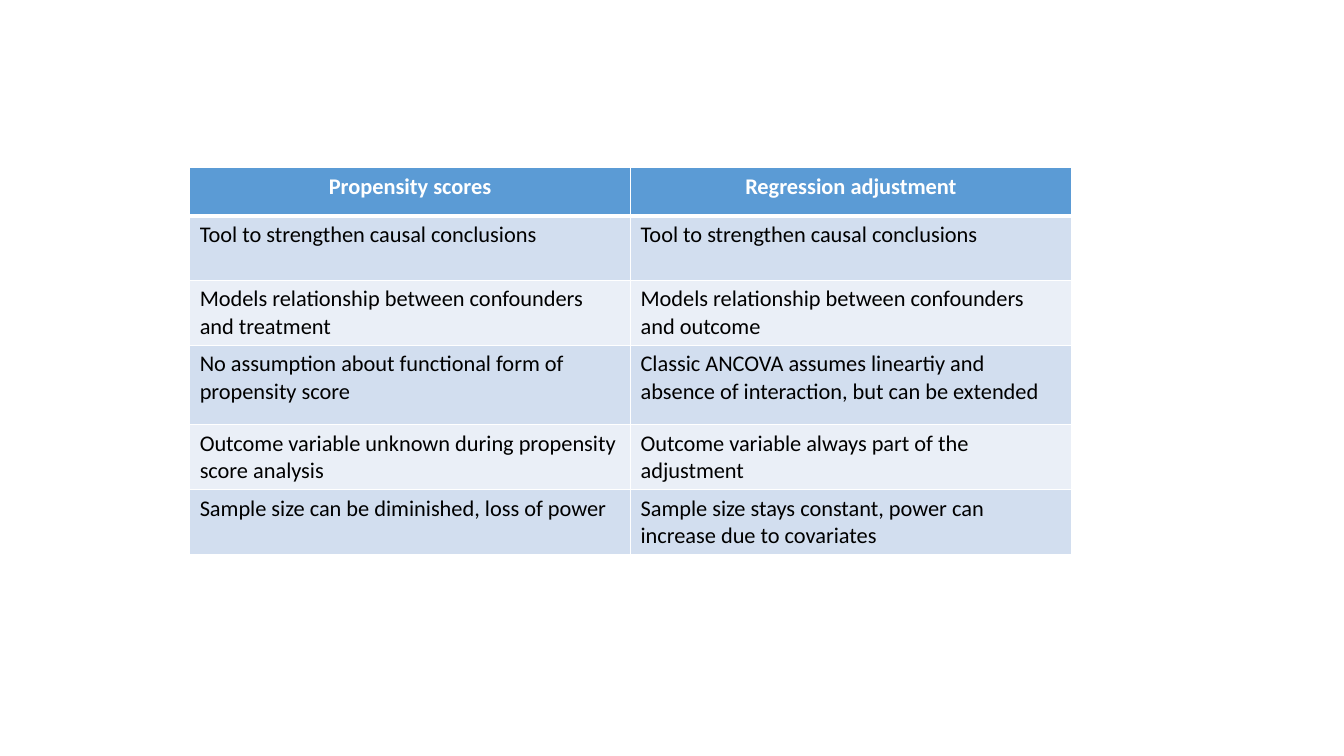
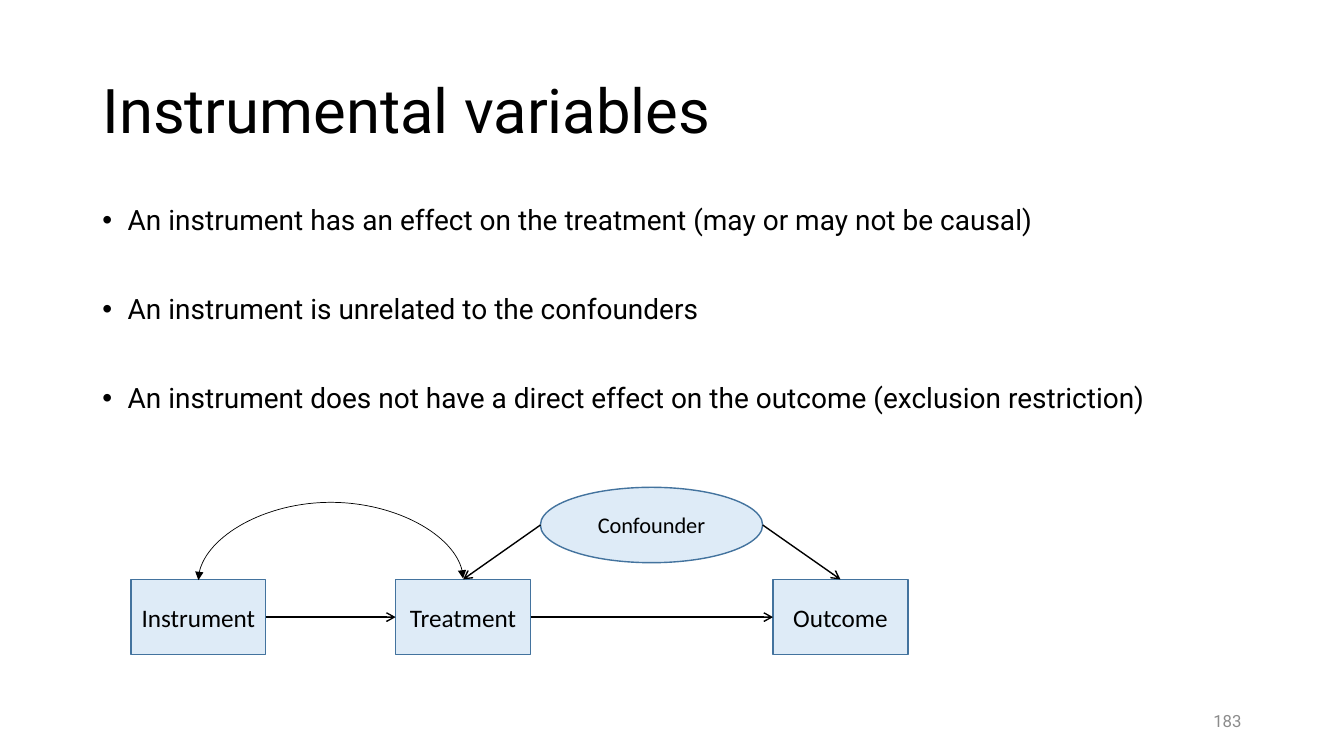
from dataclasses import dataclass

import pptx
import pptx.dml.color
import pptx.enum.shapes
import pptx.enum.text
import pptx.oxml
import pptx.oxml.ns
import pptx.util
from pptx.util import Cm

Align = pptx.enum.text.PP_ALIGN
Anchor = pptx.enum.text.MSO_ANCHOR
Preset = pptx.enum.shapes.MSO_SHAPE
Link = pptx.enum.shapes.MSO_CONNECTOR

BLACK, WHITE, GREY = "000000", "FFFFFF", "8C8C8C"
HEADER_BLUE, BANDS = "5B9BD5", ("D2DEEF", "EAEFF7")
NODE_FILL, NODE_LINE = "DEEBF7", "43739E"
HEADING_FONT, DIAGRAM_FONT = "Roboto", "Calibri"
MARGIN, CONTENT_WIDTH = 2.33, 29.21
NODE_HEIGHT, BOX_WIDTH, BOX_TOP = 1.9, 3.4, 14.6

COMPARISON = [
    ("Propensity scores", "Regression adjustment"),
    ("Tool to strengthen causal conclusions",
     "Tool to strengthen causal conclusions"),
    ("Models relationship between confounders and treatment",
     "Models relationship between confounders and outcome"),
    ("No assumption about functional form of propensity score",
     "Classic ANCOVA assumes lineartiy and absence of interaction, but can be extended"),
    ("Outcome variable unknown during propensity score analysis",
     "Outcome variable always part of the adjustment"),
    ("Sample size can be diminished, loss of power",
     "Sample size stays constant, power can increase due to covariates"),
]
ROW_HEIGHTS = (1.22, 1.62, 1.63, 2.0, 1.63, 1.63)
COLUMN_WIDTH = 11.11

CONDITIONS = [
    "An instrument has an effect on the treatment (may or may not be causal)",
    "An instrument is unrelated to the confounders",
    "An instrument does not have a direct effect on the outcome (exclusion restriction)",
]


@dataclass(frozen=True)
class TextStyle:
    font: str
    size: float
    color: str = BLACK
    bold: bool = False
    align: Align = Align.LEFT
    line_spacing: float = 1.0


@dataclass(frozen=True)
class Node:
    label: str
    left: float
    top: float = BOX_TOP
    width: float = BOX_WIDTH
    size: float = 18
    preset: Preset = Preset.RECTANGLE

    @property
    def center(self) -> float:
        return self.left + self.width / 2


@dataclass(frozen=True)
class Arrow:
    """A straight arrow between connection sites of two nodes."""
    source: Node
    source_site: int
    target: Node
    target_site: int


TITLE = TextStyle(HEADING_FONT, 44, line_spacing=0.9)
BULLET = TextStyle(HEADING_FONT, 20, line_spacing=0.9)
PAGE_NUMBER = TextStyle(HEADING_FONT, 12, GREY, align=Align.RIGHT)
TABLE_HEADER = TextStyle(DIAGRAM_FONT, 16, WHITE, True, Align.CENTER)
TABLE_BODY = TextStyle(DIAGRAM_FONT, 16)

INSTRUMENT = Node("Instrument", 3.3)
TREATMENT = Node("Treatment", 9.97)
OUTCOME = Node("Outcome", 19.48)
CONFOUNDER = Node("Confounder", 13.62, 12.28, 5.6, 16, Preset.OVAL)
NODES = (INSTRUMENT, TREATMENT, OUTCOME, CONFOUNDER)

BOX_UP, BOX_LEFT, BOX_RIGHT = 0, 1, 3
OVAL_LEFT, OVAL_RIGHT = 2, 6
ARROWS = (
    Arrow(INSTRUMENT, BOX_RIGHT, TREATMENT, BOX_LEFT),
    Arrow(TREATMENT, BOX_RIGHT, OUTCOME, BOX_LEFT),
    Arrow(CONFOUNDER, OVAL_LEFT, TREATMENT, BOX_UP),
    Arrow(CONFOUNDER, OVAL_RIGHT, OUTCOME, BOX_UP),
)


def rgb(color: str) -> pptx.dml.color.RGBColor:
    return pptx.dml.color.RGBColor.from_string(color)


def drawing_element(markup: str):
    """Parse one element of the drawing namespace, given without its brackets."""
    tag, _, rest = markup.partition(" ")
    return pptx.oxml.parse_xml(f"<a:{tag} {pptx.oxml.ns.nsdecls('a')} {rest}/>")


def style_paragraph(paragraph, style: TextStyle) -> None:
    paragraph.alignment = style.align
    paragraph.line_spacing = style.line_spacing
    for run in paragraph.runs:
        run.font.name = style.font
        run.font.size = pptx.util.Pt(style.size)
        run.font.bold = style.bold
        run.font.color.rgb = rgb(style.color)


def add_text(slide, text: str, left: float, top: float, width: float, height: float,
             style: TextStyle, anchor: Anchor = Anchor.MIDDLE):
    frame = slide.shapes.add_textbox(Cm(left), Cm(top), Cm(width), Cm(height)).text_frame
    frame.word_wrap = True
    frame.vertical_anchor = anchor
    frame.text = text
    for paragraph in frame.paragraphs:
        style_paragraph(paragraph, style)
    return frame


def add_bullets(slide, items: list[str]) -> None:
    frame = add_text(slide, "\n".join(items), MARGIN, 5.07, CONTENT_WIDTH, 12.09,
                     BULLET, Anchor.TOP)
    for index, paragraph in enumerate(frame.paragraphs):
        if index:
            paragraph.space_before = pptx.util.Pt(42)
        properties = paragraph._p.get_or_add_pPr()
        properties.set("marL", str(Cm(0.64)))
        properties.set("indent", str(Cm(-0.64)))
        properties.append(drawing_element('buFont typeface="Arial"'))
        properties.append(drawing_element('buChar char="•"'))


def set_cell_borders(cell, top: float, bottom: float) -> None:
    properties = cell._tc.get_or_add_tcPr()
    for index, (side, points) in enumerate(
            (("L", 1), ("R", 1), ("T", top), ("B", bottom))):
        border = drawing_element(f'ln{side} w="{pptx.util.Pt(points)}"')
        fill = drawing_element("solidFill")
        fill.append(drawing_element(f'srgbClr val="{WHITE}"'))
        border.append(fill)
        properties.insert(index, border)


def add_comparison_table(slide) -> None:
    columns = len(COMPARISON[0])
    table = slide.shapes.add_table(
        len(COMPARISON), columns, Cm(4.78), Cm(4.23),
        Cm(columns * COLUMN_WIDTH), Cm(sum(ROW_HEIGHTS))).table
    for column in table.columns:
        column.width = Cm(COLUMN_WIDTH)
    for index, (texts, height) in enumerate(zip(COMPARISON, ROW_HEIGHTS)):
        table.rows[index].height = Cm(height)
        is_header = index == 0
        for cell, text in zip(table.rows[index].cells, texts):
            cell.text = text
            style_paragraph(cell.text_frame.paragraphs[0],
                            TABLE_HEADER if is_header else TABLE_BODY)
            cell.fill.solid()
            cell.fill.fore_color.rgb = rgb(
                HEADER_BLUE if is_header else BANDS[(index - 1) % 2])
            set_cell_borders(cell, top=3 if index == 1 else 1,
                             bottom=3 if is_header else 1)


def add_node(slide, node: Node):
    shape = slide.shapes.add_shape(node.preset, Cm(node.left), Cm(node.top),
                                   Cm(node.width), Cm(NODE_HEIGHT))
    shape.shadow.inherit = False
    shape.fill.solid()
    shape.fill.fore_color.rgb = rgb(NODE_FILL)
    shape.line.color.rgb = rgb(NODE_LINE)
    shape.line.width = pptx.util.Pt(1)
    frame = shape.text_frame
    frame.word_wrap = False
    frame.vertical_anchor = Anchor.MIDDLE
    frame.text = node.label
    style_paragraph(frame.paragraphs[0],
                    TextStyle(DIAGRAM_FONT, node.size, align=Align.CENTER))
    return shape


def style_connector(connector, points: float, **arrowheads: str) -> None:
    """Make a black line; arrowheads maps headEnd and tailEnd to a type."""
    connector.line.color.rgb = rgb(BLACK)
    connector.line.width = pptx.util.Pt(points)
    line = connector.line._get_or_add_ln()
    for end, kind in arrowheads.items():
        line.append(drawing_element(f'{end} type="{kind}"'))
    connector._element.spPr.append(drawing_element("effectLst"))


def add_association_arc(slide, first: Node, second: Node) -> None:
    """Draw a double-headed arc above two boxes, as a connector turned upright."""
    rise, thickness = 1.96, 0.04
    middle = (first.center + second.center) / 2
    half_span = (second.center - first.center) / 2
    arc = slide.shapes.add_connector(
        Link.CURVE,
        Cm(middle + thickness / 2), Cm(BOX_TOP + half_span),
        Cm(middle - thickness / 2), Cm(BOX_TOP - half_span))
    properties = arc._element.spPr
    properties.xfrm.set("rot", str(90 * 60000))
    adjustment = round(rise / thickness * 100000)
    guides = properties.prstGeom.get_or_add_avLst()
    guides.append(drawing_element(f'gd name="adj1" fmla="val {adjustment}"'))
    style_connector(arc, 0.5, headEnd="triangle", tailEnd="triangle")


def add_causal_diagram(slide) -> None:
    shapes = {node: add_node(slide, node) for node in NODES}
    for arrow in ARROWS:
        connector = slide.shapes.add_connector(Link.STRAIGHT, Cm(0), Cm(0), Cm(0), Cm(0))
        source, target = shapes[arrow.source], shapes[arrow.target]
        for connect, shape, site in (
                (connector.begin_connect, source, arrow.source_site),
                (connector.end_connect, target, arrow.target_site)):
            # python-pptx places only sites 0 to 3, so the ends are set below.
            connect(shape, min(site, 3))
        connector.begin_x, connector.begin_y = site_point(arrow.source, arrow.source_site)
        connector.end_x, connector.end_y = site_point(arrow.target, arrow.target_site)
        link = connector._element.nvCxnSpPr.cNvCxnSpPr
        link.stCxn.set("idx", str(arrow.source_site))
        link.endCxn.set("idx", str(arrow.target_site))
        style_connector(connector, 1, tailEnd="arrow")
    add_association_arc(slide, INSTRUMENT, TREATMENT)


def site_point(node: Node, site: int) -> tuple[Cm, Cm]:
    """Return where a connection site lies on the outline of a node."""
    is_oval = node.preset == Preset.OVAL
    if site == BOX_UP:
        return Cm(node.center), Cm(node.top)
    at_left = site == (OVAL_LEFT if is_oval else BOX_LEFT)
    return (Cm(node.left if at_left else node.left + node.width),
            Cm(node.top + NODE_HEIGHT / 2))


def main() -> None:
    deck = pptx.Presentation()
    deck.slide_width, deck.slide_height = Cm(33.87), Cm(19.05)
    blank = deck.slide_layouts[6]

    add_comparison_table(deck.slides.add_slide(blank))

    instruments = deck.slides.add_slide(blank)
    add_text(instruments, "Instrumental variables", MARGIN, 1.01, CONTENT_WIDTH, 3.68, TITLE)
    add_bullets(instruments, CONDITIONS)
    add_text(instruments, "183", 23.92, 17.66, 7.62, 1.01, PAGE_NUMBER)
    add_causal_diagram(instruments)

    deck.save("out.pptx")


if __name__ == "__main__":
    main()
